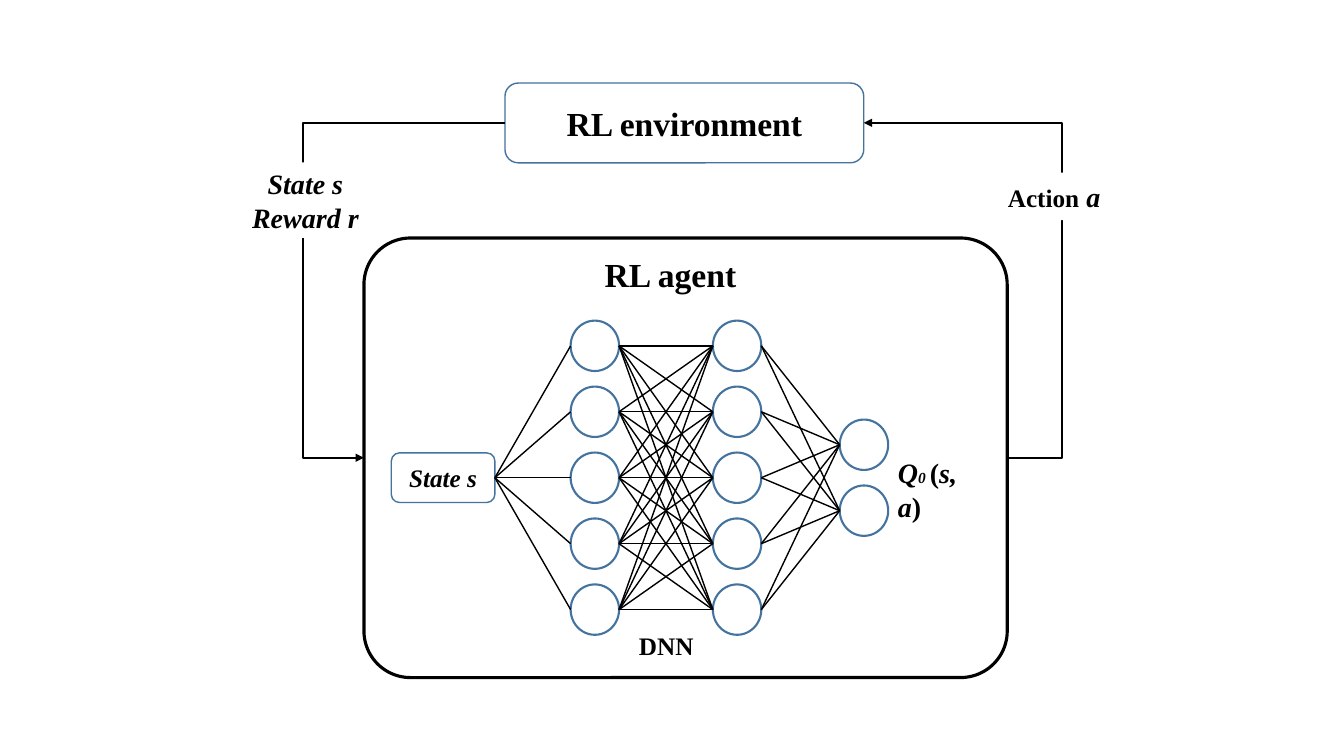
from itertools import pairwise, product

from lxml.etree import SubElement
from pptx import Presentation
from pptx.dml.color import RGBColor
from pptx.enum.shapes import MSO_CONNECTOR, MSO_SHAPE
from pptx.enum.text import MSO_ANCHOR, MSO_AUTO_SIZE, PP_ALIGN
from pptx.oxml.ns import qn
from pptx.util import Pt

BLACK = RGBColor(0x00, 0x00, 0x00)
WHITE = RGBColor(0xFF, 0xFF, 0xFF)
BLUE = RGBColor(0x43, 0x73, 0x9E)

NEURON_WIDTH, NEURON_HEIGHT, NEURON_STEP = 34.6, 36, 47.1
NETWORK_MIDDLE = 341.25
LAYERS = [(407.6, 5), (509.2, 5), (599.8, 2)]


class Diagram:
    font_values = {"name": "Times New Roman", "bold": True}

    def __init__(self, page):
        self.page = page

    def fill_text(self, shape, paragraphs, align, frame_values):
        frame = shape.text_frame
        for name, value in ({"word_wrap": True} | frame_values).items():
            setattr(frame, name, value)
        for index, spans in enumerate(paragraphs):
            para = frame.add_paragraph() if index else frame.paragraphs[0]
            para.alignment = align
            for text, size, italic in spans:
                span = para.add_run()
                span.text = text
                values = self.font_values | {"size": Pt(size), "italic": italic}
                for name, value in values.items():
                    setattr(span.font, name, value)
                span.font.color.rgb = BLACK

    def shape(self, kind, place, line=None, weight=1, fill=None, paragraphs=()):
        shape = self.page.shapes.add_shape(kind, *map(Pt, place))
        shape.shadow.inherit = False
        if fill is None:
            shape.fill.background()
        else:
            shape.fill.solid()
            shape.fill.fore_color.rgb = fill
        if line is None:
            shape.line.fill.background()
        else:
            shape.line.color.rgb = line
            shape.line.width = Pt(weight)
        self.fill_text(shape, paragraphs, PP_ALIGN.CENTER,
                       {"vertical_anchor": MSO_ANCHOR.MIDDLE})
        return shape

    def label(self, place, spans):
        box = self.page.shapes.add_textbox(*map(Pt, place))
        self.fill_text(box, [spans], PP_ALIGN.LEFT,
                       {"auto_size": MSO_AUTO_SIZE.SHAPE_TO_FIT_TEXT})

    def connector(self, kind, start, end, weight):
        connector = self.page.shapes.add_connector(kind, *map(Pt, start + end))
        connector.line.color.rgb = BLACK
        connector.line.width = Pt(weight)
        SubElement(connector._element.spPr, qn("a:effectLst"))
        return connector

    def link(self, start, end):
        return self.connector(MSO_CONNECTOR.STRAIGHT, start, end, 1)

    def elbow_arrow(self, start, end, bend):
        arrow = self.connector(MSO_CONNECTOR.ELBOW, start, end, 1.5)
        properties = arrow._element.spPr
        guides = properties.find(qn("a:prstGeom")).get_or_add_avLst()
        share = (bend - start[0]) / (end[0] - start[0])
        SubElement(guides, qn("a:gd"), name="adj1",
                   fmla=f"val {round(share * 100000)}")
        SubElement(properties.find(qn("a:ln")), qn("a:tailEnd"), type="triangle")

    def layer(self, left, count):
        first = NETWORK_MIDDLE - (count - 1) / 2 * NEURON_STEP
        middles = [first + row * NEURON_STEP for row in range(count)]
        for middle in middles:
            place = (left, middle - NEURON_HEIGHT / 2, NEURON_WIDTH, NEURON_HEIGHT)
            self.shape(MSO_SHAPE.OVAL, place, BLUE, 1.5)
        return left, middles


def main():
    deck = Presentation()
    deck.slide_width, deck.slide_height = Pt(960), Pt(540)
    diagram = Diagram(deck.slides.add_slide(deck.slide_layouts[6]))
    rounded = MSO_SHAPE.ROUNDED_RECTANGLE

    layers = [diagram.layer(left, count) for left, count in LAYERS]
    for (left, sources), (right, targets) in pairwise(layers):
        for source, target in product(sources, targets):
            diagram.link((left + NEURON_WIDTH, source), (right, target))

    state = diagram.shape(rounded, (279.5, 323.5, 74, 35.5), BLUE,
                          paragraphs=[[("State s", 18, True)]])
    first_left, first_middles = layers[0]
    for middle in first_middles:
        link = diagram.link((353.5, NETWORK_MIDDLE), (first_left, middle))
        link.begin_connect(state, 3)

    agent = diagram.shape(rounded, (260, 170, 459.5, 314), BLACK, 2.25)
    agent.adjustments[0] = 0.106
    diagram.label((424.8, 177.8, 113.8, 36), [("RL agent", 24, False)])
    diagram.label((449.3, 446.4, 63.4, 28.8), [("DNN", 18, False)])
    diagram.label((634.3, 321.8, 77.8, 31.7), [
        ("Q", 20, True), ("0 ", 11, True), ("(", 20, False),
        ("s, a", 20, True), (")", 20, False)])

    diagram.shape(rounded, (360.7, 59.3, 256.3, 57), BLUE,
                  paragraphs=[[("RL environment", 24, False)]])
    diagram.elbow_arrow((719.5, 327), (617, 87.8), 758.4)
    diagram.elbow_arrow((360.7, 87.8), (260, 327), 216.5)
    diagram.shape(rounded, (689, 123.3, 128, 34), fill=WHITE, paragraphs=[
        [("Action", 18, False), (" ", 20, False), ("a", 20, True)]])
    diagram.shape(rounded, (167.8, 116, 100.8, 54), fill=WHITE, paragraphs=[
        [("State s", 20, True)], [("Reward r", 20, True)]])

    deck.save("out.pptx")


if __name__ == "__main__":
    main()
